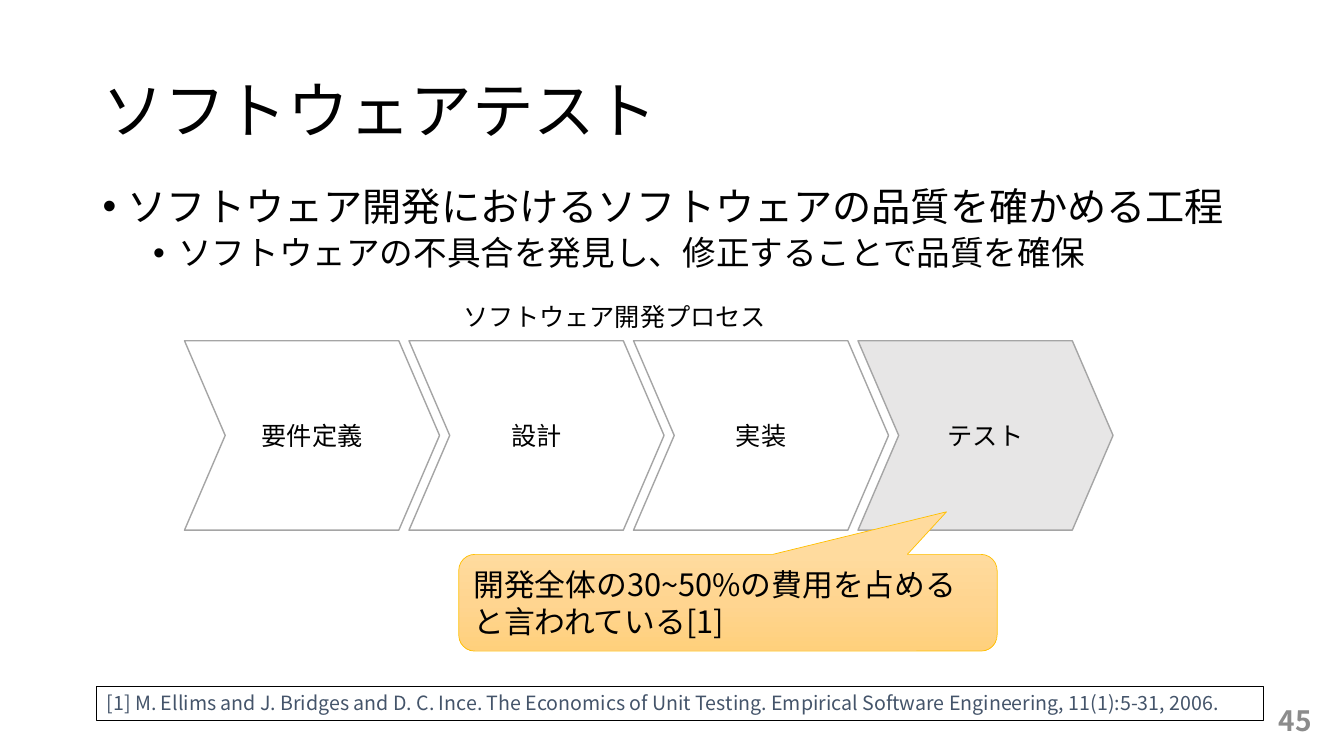
from copy import deepcopy

from lxml import etree
from pptx import Presentation
from pptx.dml.color import RGBColor
from pptx.enum.shapes import MSO_SHAPE
from pptx.enum.text import MSO_ANCHOR, PP_ALIGN
from pptx.oxml.ns import qn
from pptx.util import Inches, Pt

FONT = "Noto Sans CJK JP"
COLORS = {
    "text": "000000",
    "number": "8C8C8C",
    "citation": "44546A",
    "white": "FFFFFF",
    "active": "E7E6E6",
    "step_line": "A5A5A5",
    "callout_line": "FFC000",
    "callout_top": "FFDB9E",
    "callout_mid": "FFD590",
    "callout_end": "FFD07C",
}
CHEVRON = MSO_SHAPE.CHEVRON
CALLOUT = MSO_SHAPE.ROUNDED_RECTANGULAR_CALLOUT
RECTANGLE = MSO_SHAPE.RECTANGLE
TOP, MIDDLE = MSO_ANCHOR.TOP, MSO_ANCHOR.MIDDLE
LEFT, CENTER, RIGHT = PP_ALIGN.LEFT, PP_ALIGN.CENTER, PP_ALIGN.RIGHT


def rgb(name):
    return RGBColor.from_string(COLORS[name])


def inches(box):
    return [Inches(v) for v in box]


def add_run(p, text, size, color="text", bold=False):
    r = p.add_run()
    r.text = text
    r.font.size = Pt(size)
    r.font.name = FONT
    r.font.bold = bold
    r.font.color.rgb = rgb(color)
    # Japanese glyphs take the East Asian typeface
    ea = etree.SubElement(r.font._element, qn("a:ea"))
    ea.set("typeface", FONT)


def write(sp, text, size, color="text", align=LEFT, anchor=MIDDLE, bold=False):
    tf = sp.text_frame
    tf.word_wrap = True
    tf.vertical_anchor = anchor
    p = tf.paragraphs[0]
    p.alignment = align
    add_run(p, text, size, color, bold)
    return p


def add_text(s, box, text, size, **style):
    return write(s.shapes.add_textbox(*inches(box)), text, size, **style)


def add_shape(s, kind, box, fill, line, width):
    sp = s.shapes.add_shape(kind, *inches(box))
    sp.shadow.inherit = False
    if fill:
        sp.fill.solid()
        sp.fill.fore_color.rgb = rgb(fill)
    sp.line.color.rgb = rgb(line)
    sp.line.width = Pt(width)
    return sp


def add_title(s, box, text):
    add_text(s, box, text, 44).line_spacing = 0.9


def add_bullets(s, box, items):
    tf = s.shapes.add_textbox(*inches(box)).text_frame
    tf.word_wrap = True
    for i, (text, level, size, before) in enumerate(items):
        p = tf.add_paragraph() if i else tf.paragraphs[0]
        pPr = p._p.get_or_add_pPr()
        pPr.set("marL", str(Inches(0.25 + 0.5 * level)))
        pPr.set("indent", str(Inches(-0.25)))
        etree.SubElement(pPr, qn("a:buFont")).set("typeface", "Arial")
        etree.SubElement(pPr, qn("a:buChar")).set("char", "•")
        p.level = level
        p.line_spacing = 0.9
        p.space_before = Pt(before)
        add_run(p, text, size)


def add_process(s, box, heading, steps):
    x, y, w, h = box
    step_w = 2.53
    pitch = (w - step_w) / (len(steps) - 1)
    add_text(s, (x + 2.67, y - 0.44, 3.24, 0.4), heading, 18, anchor=TOP)
    for i, name in enumerate(steps):
        fill = "active" if i == len(steps) - 1 else "white"
        sp = add_shape(s, CHEVRON, (x + i * pitch, y, step_w, h), fill, "step_line", 1)
        sp.adjustments[0] = 0.215
        write(sp, name, 18, align=CENTER)


def add_callout(s, box, text):
    sp = add_shape(s, CALLOUT, box, None, "callout_line", 0.5)
    for i, value in enumerate((0.406, -0.94, 0.167)):
        sp.adjustments[i] = value
    # Three-stop gradient from top to bottom
    sp.fill.gradient()
    sp.fill.gradient_angle = 270
    gs_list = sp._element.spPr.find(qn("a:gradFill")).find(qn("a:gsLst"))
    gs_list.insert(1, deepcopy(gs_list[0]))
    stops = ((0, "callout_top"), (0.5, "callout_mid"), (1, "callout_end"))
    for stop, (position, color) in zip(sp.fill.gradient_stops, stops):
        stop.position = position
        stop.color.rgb = rgb(color)
    write(sp, text, 22)


def add_footer(s, box, citation, number):
    x, y, w, h = box
    add_text(s, (x + w - 3, y + 0.14, 3, 0.4), number, 20,
             color="number", align=RIGHT, bold=True)
    sp = add_shape(s, RECTANGLE, (x, y, w - 0.58, h), "white", "text", 1)
    write(sp, citation, 14, color="citation", anchor=TOP)


def main():
    prs = Presentation()
    prs.slide_width, prs.slide_height = Inches(13.33), Inches(7.5)
    s = prs.slides.add_slide(prs.slide_layouts[6])

    # Title and key points
    add_title(s, (0.92, 0.4, 11.5, 1.45), "ソフトウェアテスト")
    add_bullets(s, (0.92, 1.81, 11.5, 1.29), [
        ("ソフトウェア開発におけるソフトウェアの品質を確かめる工程", 0, 28, 0),
        ("ソフトウェアの不具合を発見し、修正することで品質を確保", 1, 24, 5),
    ])

    # Development process with its cost remark
    add_process(s, (1.83, 3.38, 9.21, 1.88), "ソフトウェア開発プロセス",
                ["要件定義", "設計", "実装", "テスト"])
    add_callout(s, (4.55, 5.5, 5.34, 0.96),
                "開発全体の30~50%の費用を占めると言われている[1]")

    # Citation and slide number
    add_footer(s, (0.96, 6.81, 12.15, 0.34),
               "[1] M. Ellims and J. Bridges and D. C. Ince. "
               "The Economics of Unit Testing. "
               "Empirical Software Engineering, 11(1):5-31, 2006.", "45")

    prs.save("out.pptx")


if __name__ == "__main__":
    main()
